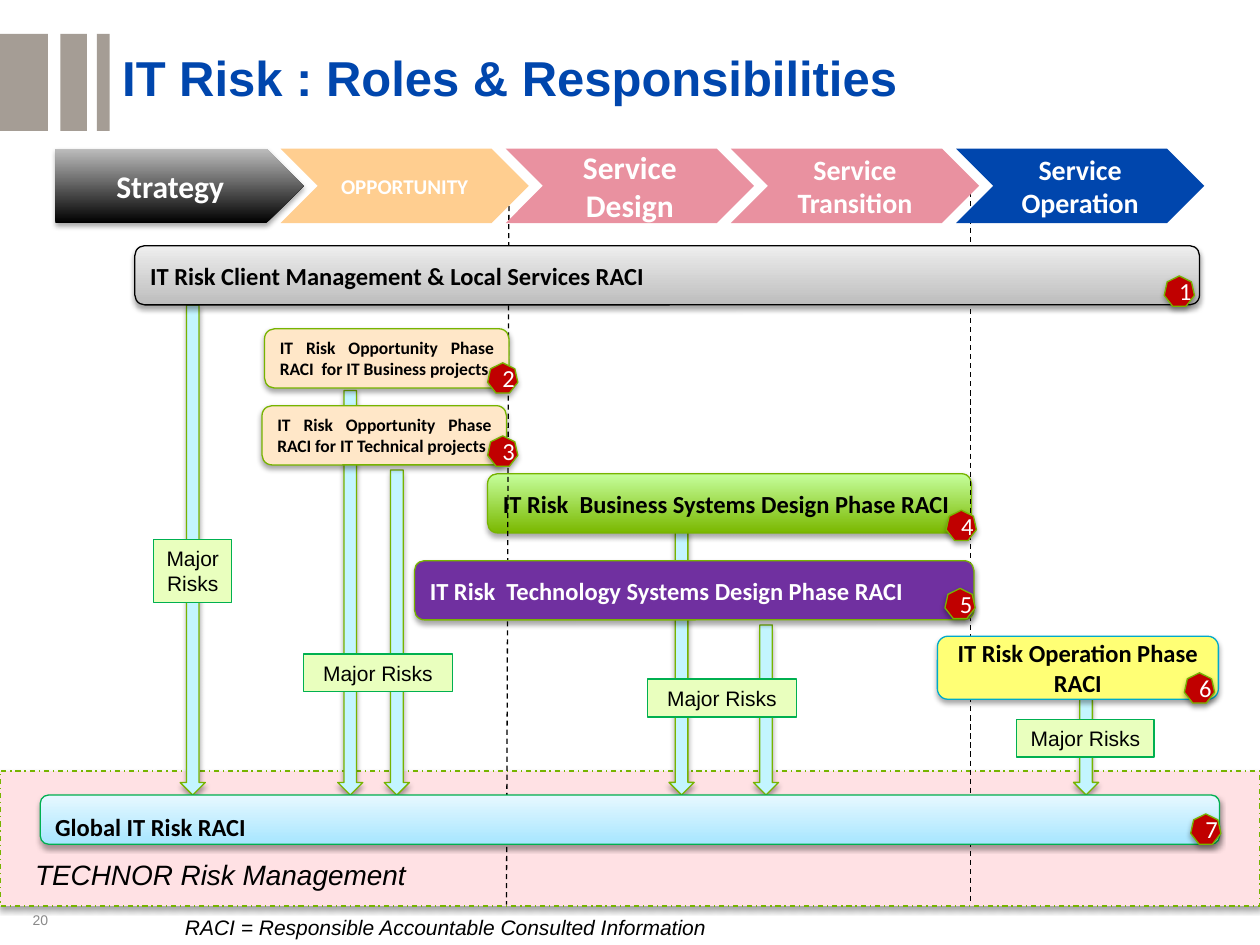
from dataclasses import dataclass
from lxml.etree import SubElement
from pptx import Presentation
from pptx.dml.color import RGBColor
from pptx.enum.dml import MSO_LINE
from pptx.enum.shapes import MSO_CONNECTOR, MSO_SHAPE
from pptx.enum.text import MSO_ANCHOR, PP_ALIGN
from pptx.oxml.ns import qn
from pptx.util import Inches, Pt


@dataclass(frozen=True)
class Theme:
    head: str = "Arial"
    body: str = "Calibri"
    black: str = "000000"
    white: str = "FFFFFF"
    blue: str = "0046AD"
    taupe: str = "A59D95"
    gray: str = "898989"
    green: str = "77B400"
    leaf: str = "00B050"
    teal: str = "00A9CB"
    pink: str = "FFE1E4"
    rose: str = "E991A0"
    peach: str = "FFCE90"
    cream: str = "FFE7C8"
    ice: str = "C3F5FF"
    lime: str = "E9FFBE"
    lemon: str = "FFFF75"
    plum: str = "7030A0"
    red: str = "C00000"
    coal: tuple = ("000000", "BDBDBD")
    steel: tuple = ("BDBDBD", "EEEEEE")
    grass: tuple = ("7AB800", "C6FF9D")
    sky: tuple = ("A7E6FF", "E7F8FF")
    title: int = 28
    big: int = 18
    mid: int = 16
    norm: int = 14
    note: int = 12
    small: int = 10
    tiny: int = 8
    rule: float = 0.75


class Board:
    cols, rows = 100, 75

    def __init__(self, deck, theme):
        self.theme = theme
        self.slide = deck.slides.add_slide(deck.slide_layouts[6])
        self.wide, self.high = deck.slide_width, deck.slide_height

    def x(self, col):
        return round(self.wide * col / self.cols)

    def y(self, row):
        return round(self.high * row / self.rows)

    def place(self, spot):
        left, top, width, height = spot
        return self.x(left), self.y(top), self.x(width), self.y(height)

    def shade(self, shape):
        effects = shape._element.spPr.find(qn("a:effectLst"))
        outer = SubElement(effects, qn("a:outerShdw"), blurRad=str(Pt(3.1)),
                           dist=str(Pt(1.8)), dir="5400000", rotWithShape="0")
        color = SubElement(outer, qn("a:srgbClr"), val=self.theme.black)
        SubElement(color, qn("a:alpha"), val="35000")

    def shape(self, kind, spot, fill, line=None, shade=False):
        shape = self.slide.shapes.add_shape(kind, *self.place(spot))
        shape.shadow.inherit = False
        if isinstance(fill, tuple):
            shape.fill.gradient()
            shape.fill.gradient_angle = 90
            for stop, color in zip(shape.fill.gradient_stops, fill):
                stop.color.rgb = RGBColor.from_string(color)
        else:
            shape.fill.solid()
            shape.fill.fore_color.rgb = RGBColor.from_string(fill)
        if line:
            shape.line.color.rgb = RGBColor.from_string(line)
            shape.line.width = Pt(self.theme.rule)
        else:
            shape.line.fill.background()
        if shade:
            self.shade(shape)
        return shape

    def letter(self, shape, text, size, color, face=None, bold=False, slant=False,
               align=PP_ALIGN.LEFT, anchor=MSO_ANCHOR.MIDDLE, wrap=True):
        frame = shape.text_frame
        frame.word_wrap = wrap
        frame.vertical_anchor = anchor
        frame.text = text
        for para in frame.paragraphs:
            para.alignment = align
            font = para.font
            font.name, font.size = face or self.theme.body, Pt(size)
            font.bold, font.italic = bold, slant
            font.color.rgb = RGBColor.from_string(color)
        return frame

    def text(self, spot, words, size, color, **style):
        box = self.slide.shapes.add_textbox(*self.place(spot))
        return self.letter(box, words, size, color, self.theme.head, **style)

    def step(self, kind, spot, fill, words, size, shade):
        shape = self.shape(kind, spot, fill, shade=shade)
        self.letter(shape, words, size, self.theme.white, bold=True, align=PP_ALIGN.CENTER)

    def bar(self, spot, fill, line, words, size, color, align=PP_ALIGN.LEFT):
        shape = self.shape(MSO_SHAPE.ROUNDED_RECTANGLE, spot, fill, line, True)
        return self.letter(shape, words, size, color, bold=True, align=align)

    def arrow(self, left, top, base):
        self.shape(MSO_SHAPE.DOWN_ARROW, (left, top, 2, base - top),
                   self.theme.ice, self.theme.green, True)

    def label(self, spot, words):
        shape = self.shape(MSO_SHAPE.RECTANGLE, spot, self.theme.lime, self.theme.leaf)
        self.letter(shape, words, self.theme.note, self.theme.black, self.theme.head,
                    align=PP_ALIGN.CENTER, anchor=MSO_ANCHOR.TOP)

    def badge(self, left, top, mark):
        shape = self.shape(MSO_SHAPE.HEPTAGON, (left, top, 2.4, 2.4),
                           self.theme.red, self.theme.green, True)
        self.letter(shape, str(mark), self.theme.norm, self.theme.white, align=PP_ALIGN.CENTER)

    def split(self, start, end):
        line = self.slide.shapes.add_connector(
            MSO_CONNECTOR.STRAIGHT, self.x(start[0]), self.y(start[1]),
            self.x(end[0]), self.y(end[1]))
        line.line.color.rgb = RGBColor.from_string(self.theme.black)
        line.line.width = Pt(self.theme.rule)
        line.line.dash_style = MSO_LINE.DASH
        SubElement(line._element.spPr, qn("a:effectLst"))


def main():
    deck = Presentation()
    deck.slide_width, deck.slide_height = Inches(10), Inches(7.5)
    look = Theme()
    board = Board(deck, look)

    for left, width in ((7.7, 1), (4.8, 2.1), (0, 3.8)):
        board.shape(MSO_SHAPE.RECTANGLE, (left, 2.7, width, 7.7), look.taupe)
    title = board.text((9.7, 4.3, 87.2, 4.2), "IT Risk : Roles & Responsibilities",
                       look.title, look.blue, bold=True)
    title.margin_left = title.margin_right = title.margin_top = title.margin_bottom = 0
    title.paragraphs[0].line_spacing = 0.9

    band = board.shape(MSO_SHAPE.RECTANGLE, (0, 61.2, 100, 10.7), look.pink, look.green, True)
    band.line.dash_style = MSO_LINE.DASH_DOT

    base = 63.1
    for left, top in ((14.3, 24.2), (26.8, 31), (30.5, 37.3), (53.1, 42.1),
                      (59.8, 49.6), (85.2, 55.5)):
        board.arrow(left, top, base)

    board.bar((38.7, 37.6, 38.4, 4.7), look.grass, look.green,
              "IT Risk  Business Systems Design Phase RACI", look.norm, look.black)
    board.split((77, 14.5), (77, 71.8))
    board.split((40.4, 14.2), (40.2, 71.8))

    steps = (
        ("Strategy", look.coal, look.big),
        ("OPPORTUNITY", look.peach, look.note),
        ("Service Design", look.rose, look.big),
        ("Service Transition", look.rose, look.mid),
        ("Service Operation", look.blue, look.mid),
    )
    for rank, (words, fill, size) in enumerate(steps):
        kind = MSO_SHAPE.CHEVRON if rank else MSO_SHAPE.PENTAGON
        board.step(kind, (4.4 + 17.87 * rank, 11.8, 19.7, 5.9), fill, words, size, rank == 0)

    bars = (
        ((10.7, 19.5, 84.5, 4.7), look.steel, look.black,
         "IT Risk Client Management & Local Services RACI", look.norm, look.black),
        ((21, 26.1, 19.4, 4.7), look.cream, look.green,
         "IT Risk Opportunity Phase RACI  for IT Business projects",
         look.small, look.black, PP_ALIGN.JUSTIFY),
        ((20.8, 32.2, 19.4, 4.7), look.cream, look.green,
         "IT Risk Opportunity Phase RACI for IT Technical projects",
         look.small, look.black, PP_ALIGN.JUSTIFY),
        ((32.9, 44.5, 44.4, 4.7), look.plum, look.green,
         "IT Risk  Technology Systems Design Phase RACI", look.norm, look.white),
        ((74.4, 50.5, 22.3, 5), look.lemon, look.teal,
         "IT Risk Operation Phase RACI", look.norm, look.black, PP_ALIGN.CENTER),
    )
    for item in bars:
        board.bar(*item)
    total = board.bar((3.2, 63.1, 93.6, 3.9), look.sky, look.leaf,
                      "Global IT Risk RACI", look.norm, look.black)
    total.margin_top, total.margin_bottom = Inches(0.13), Inches(0.02)

    board.label((12.2, 42.8, 6.2, 5), "Major\nRisks")
    for left, top, width in ((24.1, 51.9, 11.8), (51.4, 53.9, 11.8), (80.7, 57.1, 10.9)):
        board.label((left, top, width, 3), "Major Risks")

    spots = ((92.4, 21.9), (38.7, 28.8), (38.7, 34.6), (75.1, 40.5),
             (75, 46.7), (94, 53.4), (94.5, 64.6))
    for mark, (left, top) in enumerate(spots, 1):
        board.badge(left, top, mark)

    board.text((1.8, 67.6, 35.7, 3.7), "TECHNOR Risk Management", look.mid, look.black,
               slant=True, anchor=MSO_ANCHOR.TOP)
    board.text((13.7, 72.1, 43.6, 3), "RACI = Responsible Accountable Consulted Information",
               look.note, look.black, slant=True, anchor=MSO_ANCHOR.TOP, wrap=False)
    board.text((-0.1, 71.6, 4.9, 2.8), "20", look.tiny, look.gray, align=PP_ALIGN.RIGHT)
    deck.save("out.pptx")


if __name__ == "__main__":
    main()
